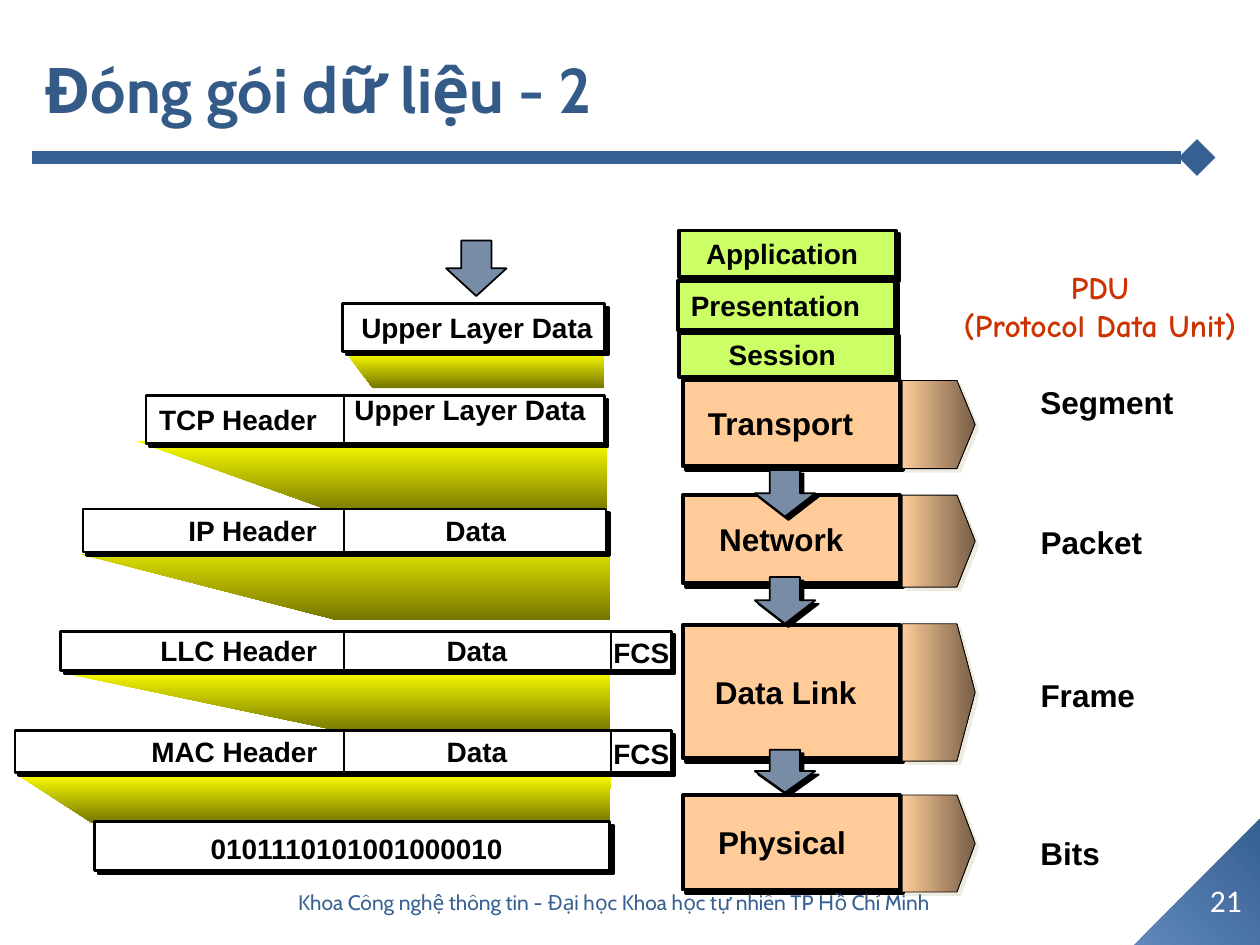
from dataclasses import dataclass

from lxml import etree
from pptx import Presentation
from pptx import util as u
from pptx.dml.color import RGBColor
from pptx.enum import shapes, text
from pptx.oxml import ns

CELL = u.Inches(0.1)
COLORS = {
    "black": "000000", "white": "FFFFFF", "title": "345A88", "rule": "376092",
    "upper": "CCFF66", "lower": "FFCC99", "lower_dark": "765E47", "arrow": "798CA6",
    "funnel": "FAFD00", "funnel_dark": "757600", "unit": "CC3300",
    "soft_shadow": "EEECE1", "corner": "5F87B9",
}
SHAPE = shapes.MSO_SHAPE
ALIGN = text.PP_ALIGN
ANCHOR = text.MSO_ANCHOR


@dataclass
class Box:
    left: float
    top: float
    width: float
    height: float

    def inner(self, left, top, width, height):
        return Box(self.left + left, self.top + top, width, height)

    def emu(self):
        return [round(v * CELL) for v in (self.left, self.top, self.width, self.height)]

    @property
    def middle(self):
        return self.top + self.height / 2


def rgb(name):
    return RGBColor.from_string(COLORS[name])


def write(frame, content, size=16, font="Arial", color="black", bold=True,
          align=ALIGN.CENTER, anchor=ANCHOR.MIDDLE, wrap=True):
    frame.word_wrap = wrap
    frame.vertical_anchor = anchor
    frame.text = content
    for paragraph in frame.paragraphs:
        paragraph.alignment = align
        paragraph.font.size = u.Pt(size)
        paragraph.font.name = font
        paragraph.font.bold = bold
        paragraph.font.color.rgb = rgb(color)


def add_label(slide, box, content, **style):
    write(slide.shapes.add_textbox(*box.emu()).text_frame, content, **style)


def fill_gradient(shape, first, last, angle):
    shape.fill.gradient()
    shape.fill.gradient_angle = angle
    for stop, color in zip(shape.fill.gradient_stops, (first, last)):
        stop.color.rgb = rgb(color)


def add_block(slide, kind, box, fill=None, line=1.5, shadow="black"):
    shape = slide.shapes.add_shape(kind, *box.emu())
    shape.shadow.inherit = False
    if fill:
        shape.fill.solid()
        shape.fill.fore_color.rgb = rgb(fill)
    if line:
        shape.line.color.rgb = rgb("black")
        shape.line.width = u.Pt(line)
    else:
        shape.line.fill.background()
    if shadow:
        effects = shape._element.spPr.find(ns.qn("a:effectLst"))
        outer = etree.SubElement(effects, ns.qn("a:outerShdw"), dist=str(u.Pt(2.8)),
                                 dir="2700000", algn="ctr", rotWithShape="0")
        etree.SubElement(outer, ns.qn("a:srgbClr"), val=COLORS[shadow])
    return shape


def add_line(slide, start, end, color="black", width=1.5, tail=None):
    ends = [round(v * CELL) for v in (*start, *end)]
    line = slide.shapes.add_connector(shapes.MSO_CONNECTOR.STRAIGHT, *ends)
    line.line.color.rgb = rgb(color)
    line.line.width = u.Pt(width)
    if tail:
        etree.SubElement(line.line._get_or_add_ln(), ns.qn("a:tailEnd"), type=tail)
    etree.SubElement(line._element.spPr, ns.qn("a:effectLst"))


def add_header(slide, box):
    add_line(slide, (box.left + 2.5, box.top + 12.5), (box.left + 95, box.top + 12.5),
             "rule", 7, "diamond")
    title = slide.shapes.title
    title.left, title.top, title.width, title.height = box.inner(2.5, 0.8, 95.7, 12.5).emu()
    write(title.text_frame, "Đóng gói dữ liệu - 2", size=36, font="Cabin",
          color="title", align=ALIGN.LEFT)


def add_funnels(slide, box):
    funnels = [
        [(1.4, 43.5), (7.3, 47.3), (48.4, 47.2), (48.5, 43.6)],
        [(6.5, 26), (26.7, 31.2), (48.4, 31.2), (48.4, 24.4)],
        [(10.8, 17), (27, 22.8), (48.2, 22.7), (48.2, 17.1)],
        [(27.7, 10.3), (29.6, 12.8), (48, 12.8), (48, 10)],
        [(5, 35.4), (27.4, 40.1), (48.4, 40), (48.4, 35.2)],
    ]
    for points in funnels:
        corners = [((box.left + x) * CELL, (box.top + y) * CELL) for x, y in points]
        builder = slide.shapes.build_freeform(*corners[0])
        builder.add_line_segments(corners[1:], close=True)
        shape = builder.convert_to_shape()
        shape.shadow.inherit = False
        shape.line.fill.background()
        fill_gradient(shape, "funnel", "funnel_dark", 270)


def add_encapsulation(slide, box):
    add_funnels(slide, box)
    add_block(slide, SHAPE.DOWN_ARROW, box.inner(35.4, 1.1, 4.8, 4.4), "arrow", 1, None)
    split, header_right = 27.3, 26.2
    rows = [
        (27.2, 6.1, 20.8, 3.8, "Upper Layer Data", 37.85, 22.5, 0, None, 0, False),
        (11.6, 13.4, 36.4, 3.8, "Upper Layer Data", 37.3, 27.2, -0.8, "TCP Header", 14.6, False),
        (6.6, 22.4, 41.5, 3.4, "Data", 37.75, 19.9, 0, "IP Header", 12.3, False),
        (4.8, 32.1, 43.7, 3.1, "Data", 37.85, 19.7, 0, "LLC Header", 14.5, True),
        (1.2, 40, 47.3, 3.3, "Data", 37.85, 18.5, 0, "MAC Header", 15.2, True),
        (7.5, 47.2, 40.9, 3.9, "0101110101001000010", 28.3, 25.4, 0.2, None, 0, False),
    ]
    for left, top, width, height, data, center, span, shift, header, header_width, fcs in rows:
        add_block(slide, SHAPE.RECTANGLE, box.inner(left, top, width, height), "white")
        label_top = top + height / 2 - 1.85
        add_label(slide, box.inner(center - span / 2, label_top + shift, span, 3.7), data,
                  wrap=header is not None)
        if header:
            add_label(slide, box.inner(header_right - header_width, label_top, header_width, 3.7),
                      header, wrap=False)
            x = box.left + split
            add_line(slide, (x, box.top + top), (x, box.top + top + height))
        if fcs:
            add_block(slide, SHAPE.RECTANGLE, box.inner(48.5, top, 4.8, height), "white")
            add_label(slide, box.inner(46.8, label_top + 0.1, 8.2, 3.7), "FCS")


def add_stack(slide, box):
    layers = [
        ("Application", 0.1, 0.3, 3.7, 14.1, "upper"),
        ("Presentation", 0, 4.3, 3.9, 16.3, "upper"),
        ("Session", 0.1, 8.4, 3.5, 10.5, "upper"),
        ("Transport", 0.4, 12.2, 6.8, 14.4, "lower"),
        ("Network", 0.4, 21.3, 7, 12.6, "lower"),
        ("Data Link", 0.4, 31.6, 10.6, 13.3, "lower"),
        ("Physical", 0.4, 45.1, 7.5, 12.8, "lower"),
    ]
    for name, left, top, height, span, color in layers:
        layer = box.inner(left, top, box.width, height)
        add_block(slide, SHAPE.RECTANGLE, layer, color, 2.25)
        size, label_height = (16, 3.7) if color == "upper" else (18, 4)
        add_label(slide, layer.inner(8.2 - span / 2, (height - label_height) / 2, span, label_height),
                  name, size=size, align=ALIGN.LEFT, anchor=ANCHOR.TOP, wrap=False)
    for top, height in ((19.3, 3.7), (27.8, 3.7), (41.5, 3.4)):
        add_block(slide, SHAPE.DOWN_ARROW, box.inner(6.1, top, 4.8, height), "arrow", 1)


def add_units(slide, box):
    add_label(slide, box.inner(2.5, 2.8, 26.4, 7), "PDU\n(Protocol Data Unit)", size=18,
              font="Comic Neue", color="unit", anchor=ANCHOR.TOP, wrap=False)
    units = [("Segment", 12.2, 7, 11.9, 12.6), ("Packet", 21.3, 7.3, 23, 10.1),
             ("Frame", 31.5, 10.9, 35.2, 9.5), ("Bits", 45.1, 7.7, 47.7, 6.7)]
    for name, top, height, label_top, span in units:
        plate = add_block(slide, SHAPE.PENTAGON, box.inner(0, top, 5.8, height),
                          line=0.5, shadow="soft_shadow")
        plate.adjustments[0] = 0.25
        fill_gradient(plate, "lower", "lower_dark", 0)
        add_label(slide, box.inner(10, label_top, span, 4), name, size=18,
                  align=ALIGN.LEFT, anchor=ANCHOR.TOP, wrap=False)


def add_footer(slide, box):
    corner = add_block(slide, SHAPE.RIGHT_TRIANGLE, box.inner(90, 0, 10, 10),
                       line=None, shadow=None)
    corner.rotation = 270
    fill_gradient(corner, "corner", "rule", 315)
    add_label(slide, box.inner(94.6, 4.4, 5.4, 4), "21", size=18, font="Calibri",
              color="white", bold=False)
    add_label(slide, box.inner(12.5, 4.6, 72.5, 4),
              "Khoa Công nghệ thông tin - Đại học Khoa học tự nhiên TP Hồ Chí Minh",
              size=12, font="Cabin", color="rule", bold=False)


def main():
    presentation = Presentation()
    presentation.slide_width = 100 * CELL
    presentation.slide_height = 75 * CELL
    slide = presentation.slides.add_slide(presentation.slide_layouts[5])
    add_header(slide, Box(0, 0, 100, 14))
    add_encapsulation(slide, Box(0, 18, 54, 53))
    add_stack(slide, Box(53.8, 18, 17.2, 53))
    add_units(slide, Box(71.6, 18, 28.4, 53))
    add_footer(slide, Box(0, 65, 100, 10))
    presentation.save("out.pptx")


if __name__ == "__main__":
    main()
